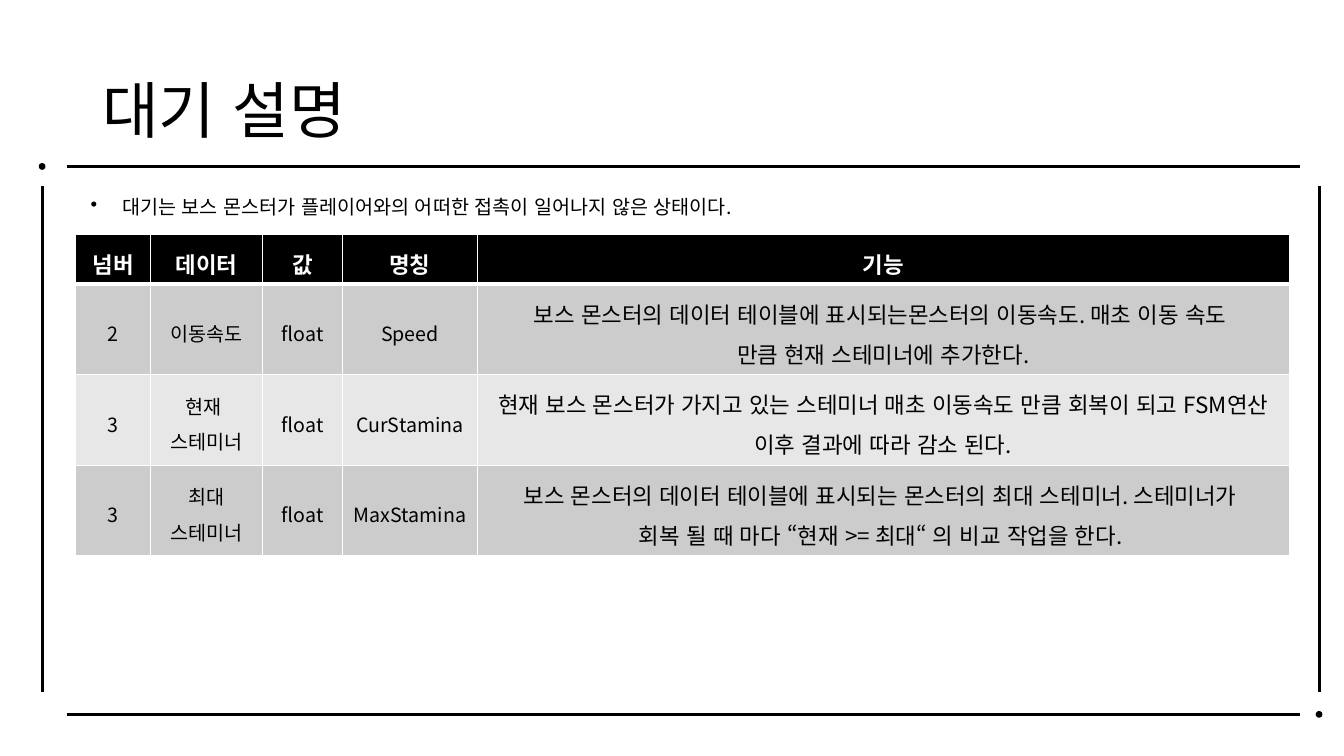
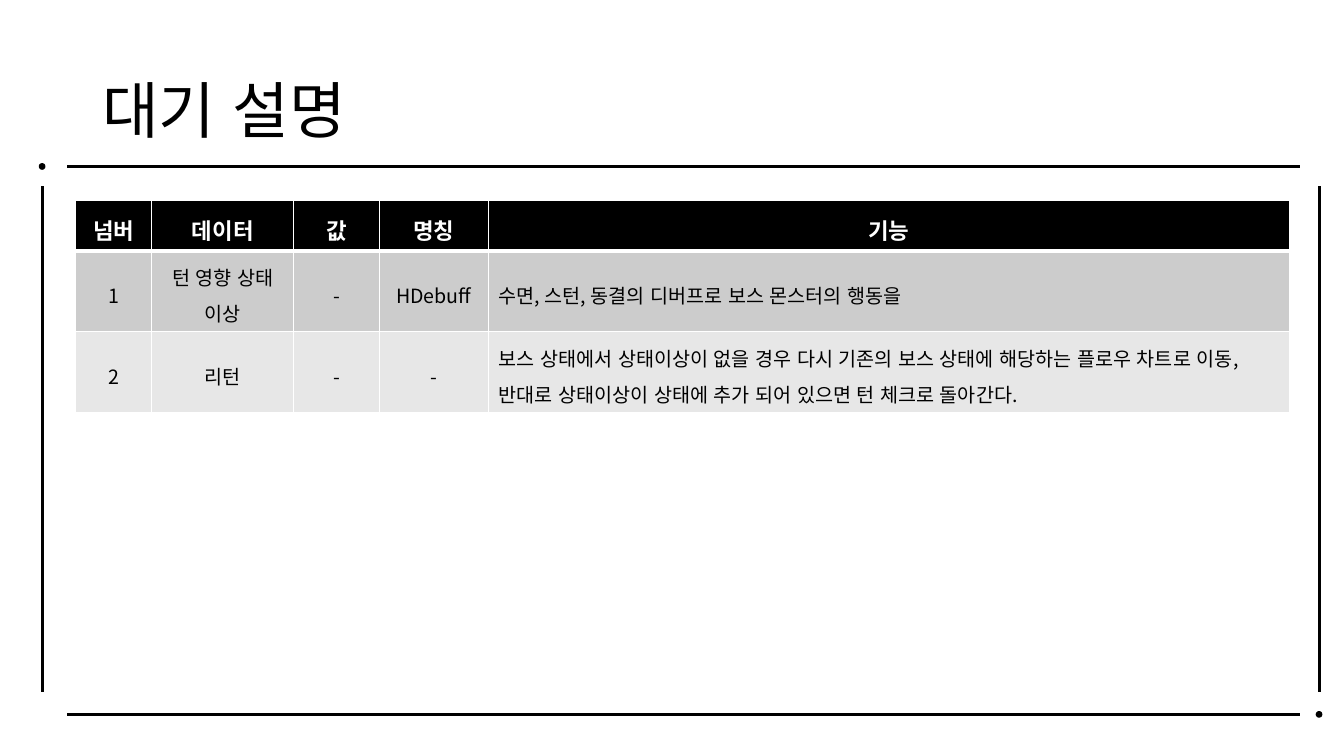
from dataclasses import dataclass
from lxml.etree import SubElement
from pptx import Presentation
from pptx.dml.color import RGBColor
from pptx.enum.lang import MSO_LANGUAGE_ID
from pptx.enum.shapes import MSO_CONNECTOR, MSO_SHAPE
from pptx.enum.text import MSO_ANCHOR, MSO_AUTO_SIZE, PP_ALIGN
from pptx.oxml.ns import qn
from pptx.util import Pt


@dataclass(frozen=True)
class Theme:
    font: str = "Noto Sans CJK KR"
    black: RGBColor = RGBColor(0, 0, 0)
    white: RGBColor = RGBColor(255, 255, 255)
    bands: tuple = (RGBColor(0xCC, 0xCC, 0xCC), RGBColor(0xE7, 0xE7, 0xE7))
    title: int = 44
    head: int = 16
    body: int = 14


theme = Theme()


def write(frame, text, size=theme.body, color=theme.black, bold=False,
          align=PP_ALIGN.LEFT, space=1.25, indent=0):
    """Fill a text frame, one paragraph a line; an indent adds bullets."""
    for num, line in enumerate(text.split("\n")):
        para = frame.add_paragraph() if num else frame.paragraphs[0]
        para.alignment, para.line_spacing = align, space
        run = para.add_run()
        run.text = line
        font = run.font
        font.name, font.size, font.bold = theme.font, Pt(size), bold
        font.language_id = MSO_LANGUAGE_ID.KOREAN
        font.color.rgb = color
        SubElement(run._r.rPr, qn("a:ea"), typeface=theme.font)
        if indent:
            props = para._p.get_or_add_pPr()
            props.set("marL", str(Pt(indent)))
            props.set("indent", str(-Pt(indent)))
            SubElement(props, qn("a:buChar"), char="•")


def edge(cell, base):
    """Draw white borders round a cell, with its own bottom width."""
    props = cell._tc.get_or_add_tcPr()
    for side, width in (("L", 1), ("R", 1), ("T", 1), ("B", base)):
        line = SubElement(props, qn(f"a:ln{side}"), w=str(Pt(width)))
        fill = SubElement(line, qn("a:solidFill"))
        SubElement(fill, qn("a:srgbClr"), val=str(theme.white))


# Shared frame, in points
rules = [(48.2, 118.8, 928.6, 118.8), (48.2, 510.3, 928.6, 510.3),
         (30.4, 133, 30.4, 494.5), (942.6, 133, 942.6, 494.5)]
dots = [(940.3, 508.4), (28.2, 117)]
left, head_high = 54.2, 35.8
heads = ["넘버", "데이터", "값", "명칭", "기능"]

# Content of each slide
pages = [
    dict(
        note="대기는 보스 몬스터가 플레이어와의 어떠한 접촉이 일어나지 않은 상태이다.",
        top=167.3, cols=[53.4, 80, 57.3, 96, 580], high=64.6,
        size=theme.head, align=PP_ALIGN.CENTER,
        rows=[
            ["2", "이동속도", "float", "Speed",
             "보스 몬스터의 데이터 테이블에 표시되는몬스터의 이동속도. 매초 이동 속도 \n"
             "만큼 현재 스테미너에 추가한다."],
            ["3", "현재 \n스테미너", "float", "CurStamina",
             "현재 보스 몬스터가 가지고 있는 스테미너 매초 이동속도 만큼 회복이 되고 "
             "FSM연산 이후 결과에 따라 감소 된다."],
            ["3", "최대\n스테미너", "float", "MaxStamina",
             "보스 몬스터의 데이터 테이블에 표시되는 몬스터의 최대 스테미너. 스테미너가 \n"
             "회복 될 때 마다 “현재 >= 최대“ 의 비교 작업을 한다. "],
        ]),
    dict(
        note="", top=143.3, cols=[54.2, 101.5, 61, 78.2, 572], high=57.8,
        size=theme.body, align=PP_ALIGN.LEFT,
        rows=[
            ["1", "턴 영향 상태\n이상", "-", "HDebuff",
             "수면, 스턴, 동결의 디버프로 보스 몬스터의 행동을 "],
            ["2", "리턴", "-", "-",
             "보스 상태에서 상태이상이 없을 경우 다시 기존의 보스 상태에 해당하는 "
             "플로우 차트로 이동, 반대로 상태이상이 상태에 추가 되어 있으면 턴 체크로 "
             "돌아간다."],
        ]),
]

deck = Presentation()
deck.slide_width, deck.slide_height = Pt(960), Pt(540)

for page in pages:
    slide = deck.slides.add_slide(deck.slide_layouts[6])
    shapes = slide.shapes

    # Border lines and corner dots
    for ends in rules:
        rule = shapes.add_connector(MSO_CONNECTOR.STRAIGHT, *map(Pt, ends))
        rule.line.color.rgb, rule.line.width = theme.black, Pt(2.25)
        SubElement(rule._element.spPr, qn("a:effectLst"))
    for x, y in dots:
        dot = shapes.add_shape(MSO_SHAPE.OVAL, Pt(x), Pt(y), Pt(3.8), Pt(3.8))
        dot.shadow.inherit = False
        dot.fill.solid()
        dot.fill.fore_color.rgb = theme.black
        dot.line.color.rgb, dot.line.width = theme.black, Pt(1)

    # Title
    frame = shapes.add_textbox(Pt(66), Pt(28.8), Pt(828), Pt(104.4)).text_frame
    frame.word_wrap, frame.vertical_anchor = True, MSO_ANCHOR.MIDDLE
    write(frame, "대기 설명", size=theme.title, space=0.9)

    # Table
    rows = [heads] + page["rows"]
    highs = [head_high] + [page["high"]] * len(page["rows"])
    table = shapes.add_table(
        len(rows), len(heads), Pt(left), Pt(page["top"]),
        Pt(sum(page["cols"])), Pt(sum(highs))).table
    for col, width in zip(table.columns, page["cols"]):
        col.width = Pt(width)
    for r, texts in enumerate(rows):
        table.rows[r].height = Pt(highs[r])
        for c, text in enumerate(texts):
            cell = table.cell(r, c)
            edge(cell, 1 if r else 3)
            cell.fill.solid()
            cell.fill.fore_color.rgb = theme.bands[(r - 1) % 2] if r else theme.black
            cell.vertical_anchor = MSO_ANCHOR.MIDDLE
            style = dict(align=PP_ALIGN.CENTER)
            if r == 0:
                style.update(size=theme.head, color=theme.white, bold=True)
            elif c == len(heads) - 1:
                style.update(size=page["size"], align=page["align"])
            write(cell.text_frame, text, **style)

    # Bulleted note
    if page["note"]:
        frame = shapes.add_textbox(Pt(57.6), Pt(127.4), Pt(517.7), Pt(29.5)).text_frame
        frame.word_wrap, frame.auto_size = False, MSO_AUTO_SIZE.SHAPE_TO_FIT_TEXT
        write(frame, page["note"], space=1.5, indent=22.5)

deck.save("out.pptx")
